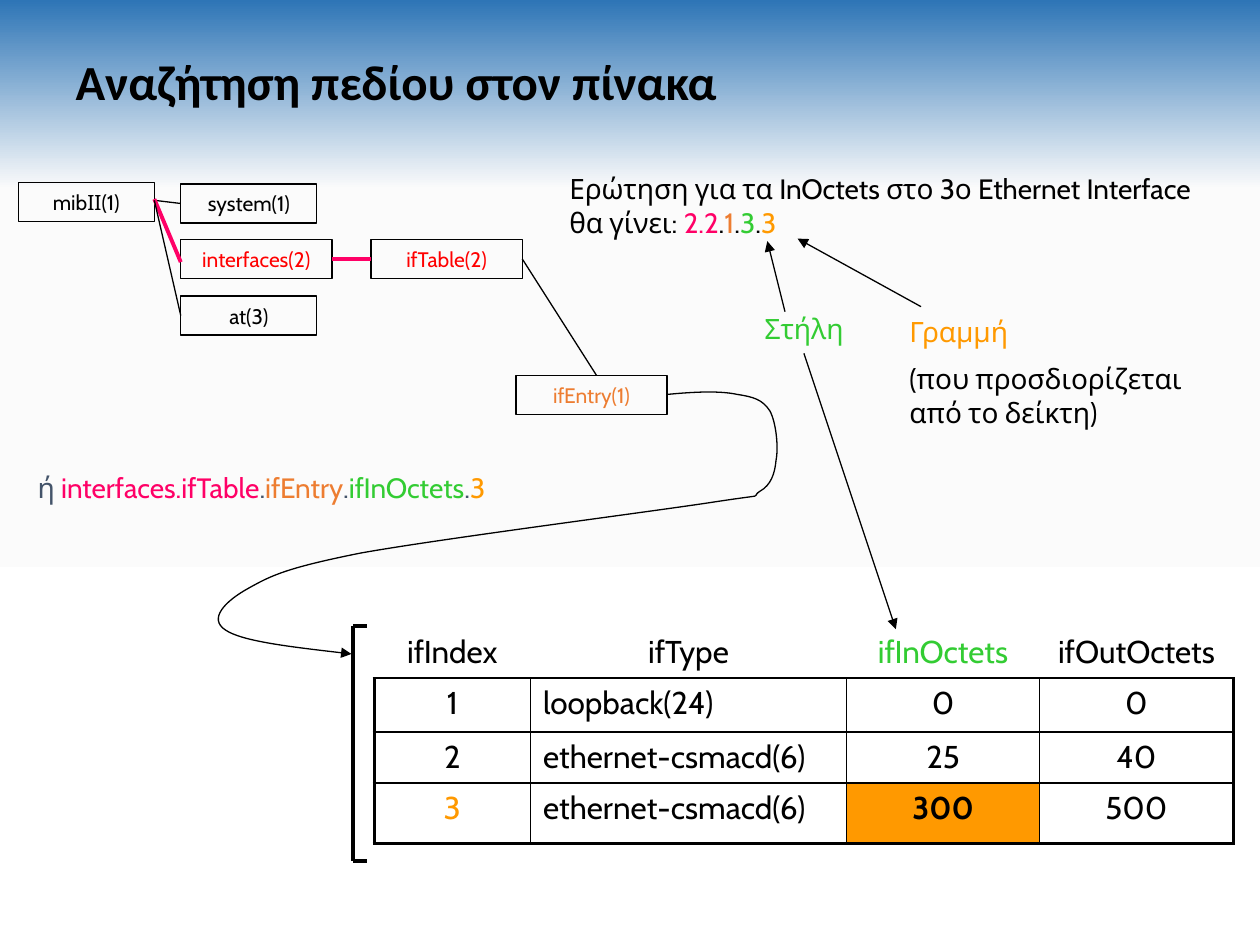
from copy import deepcopy
from itertools import pairwise
from lxml.etree import SubElement
from pptx import Presentation
from pptx.dml.color import RGBColor
from pptx.enum.shapes import MSO_CONNECTOR, MSO_SHAPE
from pptx.enum.text import MSO_ANCHOR, PP_ALIGN
from pptx.oxml.ns import qn
from pptx.util import Inches, Pt

BLACK = RGBColor(0, 0, 0)
RED = RGBColor(0xFF, 0, 0)
PINK = RGBColor(0xFF, 0, 0x66)
RUST = RGBColor(0xED, 0x7D, 0x31)
GREEN = RGBColor(0x33, 0xCC, 0x33)
AMBER = RGBColor(0xFF, 0x99, 0)
SLATE = RGBColor(0x44, 0x54, 0x6A)
SKY = [(0, RGBColor(0x2E, 0x75, 0xB6)), (0.2, RGBColor(0xFB, 0xFB, 0xFB)),
       (1, RGBColor(0xFF, 0xFF, 0xFF))]
PLAIN = "{2D5ABB26-0587-4C30-8999-92F81FD0307C}"
THIN, THICK = 0.75, 2.25


def grid(n):
    """Length of n grid steps; the slide has 100 columns and 75 rows."""
    return Inches(n / 10)


def place(box, x, y):
    """Grid point x, y steps inside the box."""
    return grid(box[0] + x), grid(box[1] + y)


def style(run, size, color, font="Cabin", bold=False):
    run.font.size, run.font.name, run.font.bold = Pt(size), font, bold
    run.font.color.rgb = color


def write(slide, box, paras):
    """Text box from paragraphs, each a list of (text, color)."""
    frame = slide.shapes.add_textbox(*map(grid, box)).text_frame
    frame.word_wrap = True
    for i, parts in enumerate(paras):
        para = frame.add_paragraph() if i else frame.paragraphs[0]
        if i:
            para.space_before = Pt(8)
        for text, color in parts:
            run = para.add_run()
            run.text = text
            style(run, 16, color)


def stroke(shape, color=BLACK, width=THIN, arrow=False):
    shape.line.color.rgb, shape.line.width = color, Pt(width)
    if arrow:
        SubElement(shape.line._get_or_add_ln(), qn("a:tailEnd"), type="triangle")


def link(slide, start, end, **look):
    """Straight line between two points."""
    line = slide.shapes.add_connector(MSO_CONNECTOR.STRAIGHT, *start, *end)
    stroke(line, **look)
    SubElement(line._element.spPr, qn("a:effectLst"))
    return line


def paint(slide):
    """Background gradient, top to bottom."""
    fill = slide.background.fill
    fill.gradient()
    fill.gradient_angle = 270
    stops = fill._fill._gradFill.gsLst
    stops.append(deepcopy(stops[0]))
    for stop, (pos, color) in zip(fill.gradient_stops, SKY):
        stop.position, stop.color.rgb = pos, color


def head(slide, box):
    title = slide.shapes.title
    title.left, title.top, title.width, title.height = map(grid, box)
    frame = title.text_frame
    frame.text = "Αναζήτηση πεδίου στον πίνακα"
    frame.vertical_anchor = MSO_ANCHOR.MIDDLE
    para = frame.paragraphs[0]
    para.alignment, para.line_spacing = PP_ALIGN.LEFT, 0.9
    style(para.runs[0], 28, BLACK, "Calibri", True)


def tree(slide, box):
    """Object tree: nodes and the lines that join them."""
    nodes = []
    for text, x, y, wide, color in [
            ("mibΙΙ(1)", 0, 0, 10.8, BLACK), ("system(1)", 12.9, 0.1, 10.8, BLACK),
            ("interfaces(2)", 12.9, 4.5, 12, RED), ("at(3)", 12.9, 9, 10.8, BLACK),
            ("ifTable(2)", 28, 4.5, 12, RED), ("ifEntry(1)", 39.5, 15.3, 12, RUST)]:
        node = slide.shapes.add_shape(MSO_SHAPE.RECTANGLE, *place(box, x, y),
                                      grid(wide), grid(3.1))
        node.shadow.inherit = False
        node.fill.background()
        stroke(node)
        node.text_frame.text = text
        para = node.text_frame.paragraphs[0]
        para.alignment = PP_ALIGN.CENTER
        style(para.runs[0], 12, color)
        nodes.append(node)
    root, system, faces, at, table, entry = nodes
    # Ends at the middle of a side are joined; the others keep their point
    for a, b, start, end, color, width in [
            ((10.8, 1.4), (12.9, 1.6), None, system, BLACK, THIN),
            ((10.8, 1.3), (12.9, 6.3), None, None, PINK, THICK),
            ((10.8, 1.4), (12.9, 10.6), None, at, BLACK, THIN),
            ((24.9, 6), (28, 6), faces, table, PINK, THICK),
            ((40, 6), (45.9, 15.3), table, None, BLACK, THIN)]:
        line = link(slide, place(box, *a), place(box, *b), color=color, width=width)
        if start:
            line.begin_connect(start, 3)
        if end:
            line.end_connect(end, 1)


def swoop(slide, box):
    """Curved arrow from the entry node down to the table."""
    knots = [(36.5, 0.3), (38.6, 0.1), (40.6, 0), (42, 0.3), (43.3, 0.5), (44, 0.7),
             (44.6, 1.6), (45.1, 2.5), (45.3, 4.5), (45.1, 5.5), (45, 6.6), (44.7, 7.5),
             (43.8, 8), (42.9, 8.6), (45, 8.1), (39.8, 8.9), (34.5, 9.7), (18.2, 11.8),
             (12.1, 12.9), (6.1, 14.1), (5, 14.7), (3.2, 15.7), (1.4, 16.7), (0, 18.1),
             (1.4, 19), (2.7, 19.9), (7.1, 20.4), (11.4, 20.9)]
    first, *rest = [place(box, *knot) for knot in knots]
    draft = slide.shapes.build_freeform(*first)
    draft.add_line_segments(rest, close=False)
    curve = draft.convert_to_shape()
    # Every three straight steps become one cubic curve
    steps = list(curve._element.iter(qn("a:lnTo")))
    trail = steps[0].getparent()
    for i in range(0, len(steps), 3):
        cubic = SubElement(trail, qn("a:cubicBezTo"))
        for step in steps[i:i + 3]:
            cubic.append(step[0])
            trail.remove(step)
    curve.shadow.inherit = False
    curve.fill.background()
    stroke(curve, arrow=True)


def brace(slide, box):
    """Square bracket left of the table."""
    wide, high = box[2:]
    spots = [(wide, 0), (0, 0), (0, high), (wide, high)]
    for a, b in pairwise(spots):
        link(slide, place(box, *a), place(box, *b), width=THICK)


def edge(cell, side, width):
    line = SubElement(cell._tc.get_or_add_tcPr(), qn("a:ln" + side), w=str(Pt(width)))
    fill = SubElement(line, qn("a:solidFill"))
    SubElement(fill, qn("a:srgbClr"), val=str(BLACK))


def table(slide, box):
    rows = [("ifIndex", "ifType", "ifInOctets", "ifOutOctets"),
            ("1", "loopback(24)", "0", "0"),
            ("2", "ethernet-csmacd(6)", "25", "40"),
            ("3", "ethernet-csmacd(6)", "300", "500")]
    tints = {(0, 2): GREEN, (3, 0): AMBER}
    tab = slide.shapes.add_table(4, 4, *map(grid, box)).table
    tab.first_row = tab.horz_banding = False
    tab._tbl.tblPr.find(qn("a:tableStyleId")).text = PLAIN
    for col, wide in zip(tab.columns, (12.4, 25.1, 15.3, 15.4)):
        col.width = grid(wide)
    for row, high in zip(tab.rows, (4, 4.3, 4, 4.8)):
        row.height = grid(high)
    for r, texts in enumerate(rows):
        for c, text in enumerate(texts):
            cell = tab.cell(r, c)
            cell.text = text
            para = cell.text_frame.paragraphs[0]
            para.alignment = PP_ALIGN.LEFT if r and c == 1 else PP_ALIGN.CENTER
            style(para.runs[0], 18, tints.get((r, c), BLACK), bold=text == "300")
            # Outer edges are thick, and the heading row has only a lower one
            if r:
                edge(cell, "L", THICK if c == 0 else 1)
                edge(cell, "R", THICK if c == 3 else 1)
                edge(cell, "T", 1)
            edge(cell, "B", THICK if r == 3 else 1)
            if text == "300":
                cell.fill.solid()
                cell.fill.fore_color.rgb = AMBER
            else:
                cell.fill.background()


def query(slide, box):
    """Question, its column and row labels, and their arrows."""
    x, y, wide, high = box
    write(slide, (x, y, wide, high), [[
        ("Ερώτηση για τα InOctets στο 3ο Ethernet Interface θα γίνει: ", BLACK),
        ("2.2", PINK), (".", BLACK), ("1", RUST), (".", BLACK),
        ("3", GREEN), (".", BLACK), ("3", AMBER)]])
    write(slide, (x + 15.5, y + 11.1, 8.5, 3.7), [[("Στήλη", GREEN)]])
    write(slide, (x + 27, y + 11.3, 26, 10.4), [
        [("Γραμμή", AMBER)], [("(που προσδιορίζεται από το δείκτη)", BLACK)]])
    for a, b in [((18.1, 11.6), (16.7, 6)), ((19.6, 14.9), (26.9, 36.8)),
                 ((28.9, 11.2), (19.1, 5.8))]:
        link(slide, place(box, *a), place(box, *b), arrow=True)


def name(slide, box):
    """The same query spelled with names."""
    write(slide, box, [[
        ("ή ", SLATE), ("interfaces.ifTable", PINK), (".", SLATE), ("ifEntry", RUST),
        (".", SLATE), ("ifInOctets", GREEN), (".", SLATE), ("3", AMBER)]])


def main():
    deck = Presentation()
    deck.slide_width, deck.slide_height = grid(100), grid(75)
    slide = deck.slides.add_slide(deck.slide_layouts[5])
    paint(slide)
    head(slide, (5, 0.15, 90, 13.1))
    table(slide, (29.7, 49.74, 68.2, 17.1))
    tree(slide, (1.45, 14.5, 51.5, 18.4))
    swoop(slide, (16.5, 31, 45.2, 20.9))
    brace(slide, (28, 49.7, 1.1, 18.6))
    query(slide, (44.2, 13.14, 54.2, 6.4))
    name(slide, (2, 36.84, 54.2, 3.7))
    deck.save("out.pptx")


if __name__ == "__main__":
    main()
